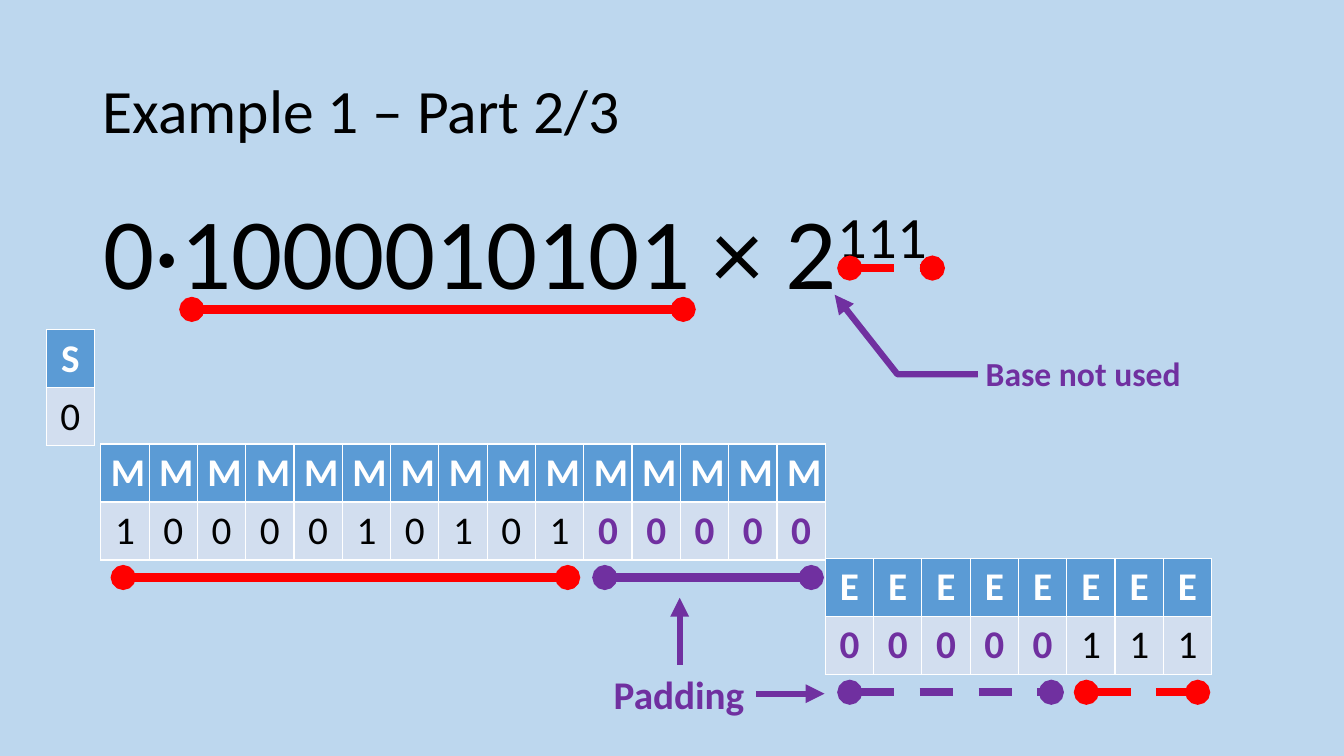
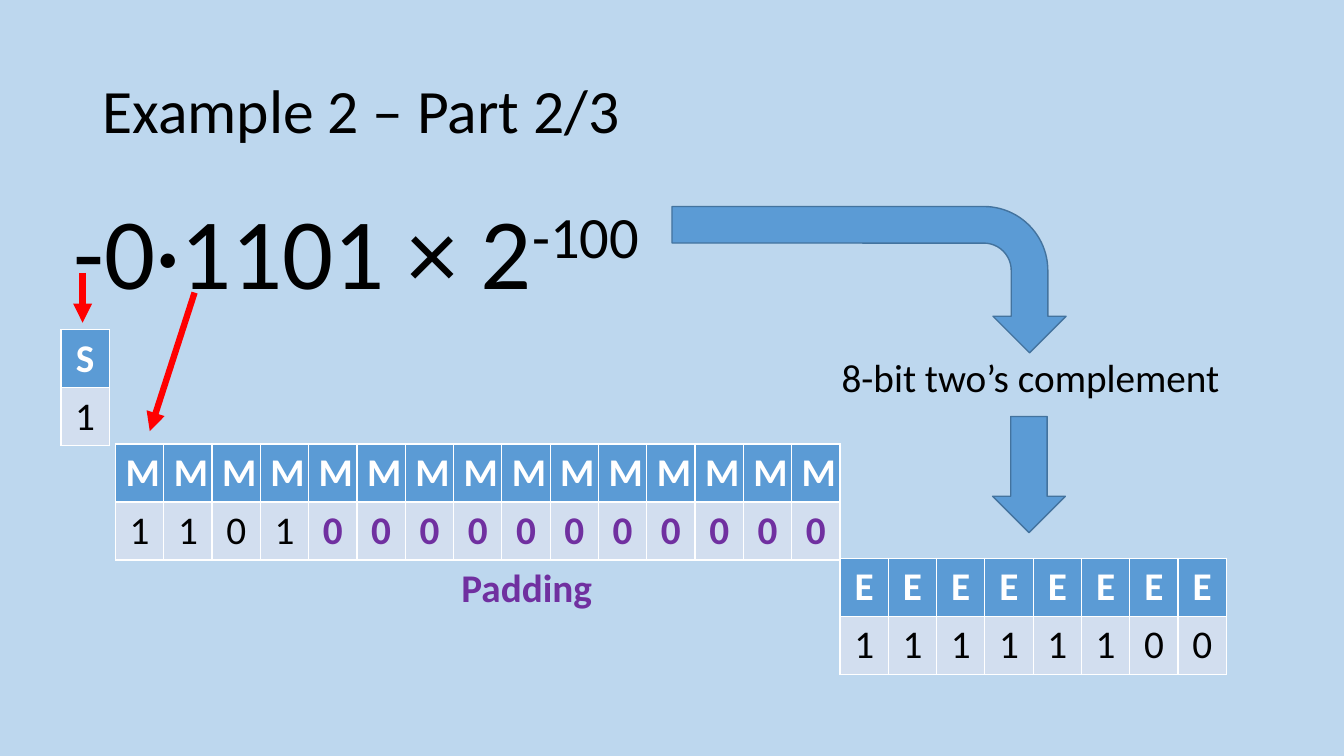
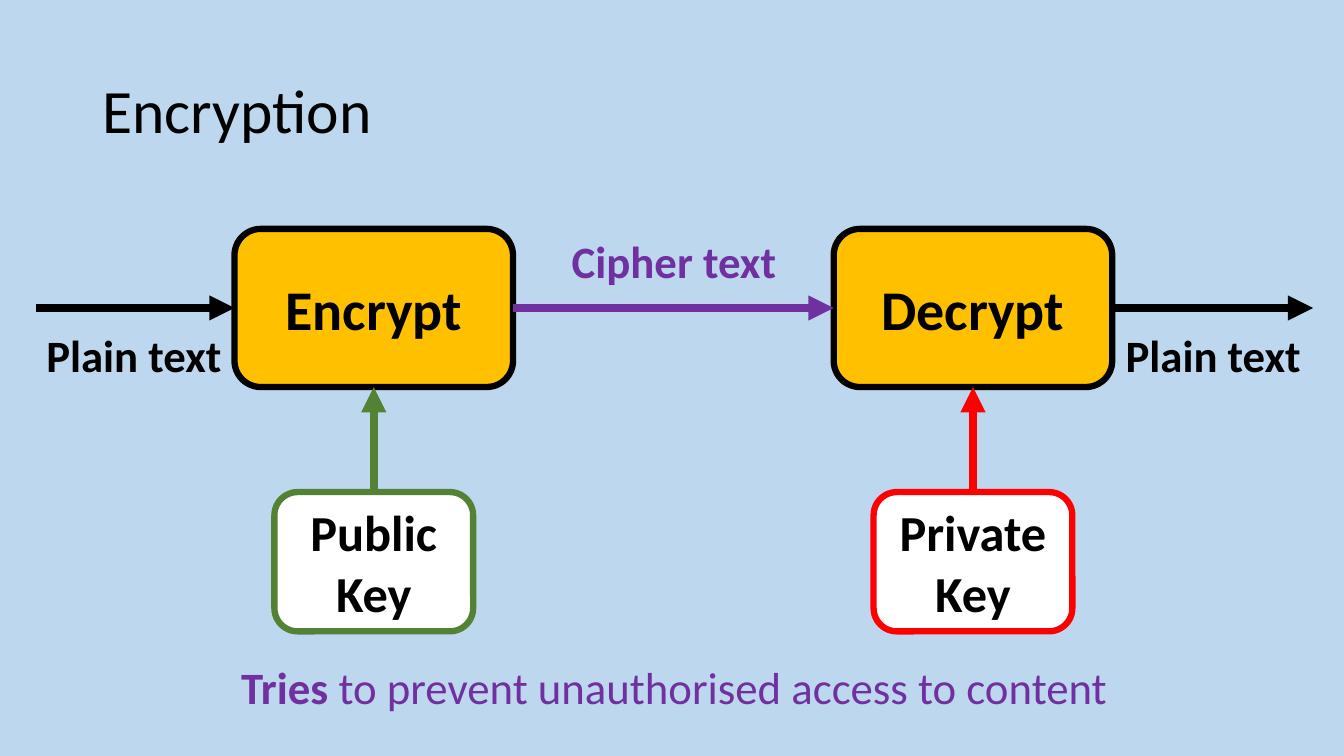
from lxml import etree
from pptx import Presentation
from pptx.dml.color import RGBColor
from pptx.enum.dml import MSO_LINE
from pptx.enum.shapes import MSO_CONNECTOR, MSO_SHAPE
from pptx.enum.text import MSO_ANCHOR, MSO_AUTO_SIZE, PP_ALIGN
from pptx.oxml.ns import qn
from pptx.util import Pt

LEFT, CENTER = PP_ALIGN.LEFT, PP_ALIGN.CENTER
MIDDLE = MSO_ANCHOR.MIDDLE
DASH = MSO_LINE.DASH
STRAIGHT = MSO_CONNECTOR.STRAIGHT
ROUNDED = MSO_SHAPE.ROUNDED_RECTANGLE
CALLOUT = MSO_SHAPE.LINE_CALLOUT_2_NO_BORDER
DOWN_ARROW, BENT_ARROW = MSO_SHAPE.DOWN_ARROW, MSO_SHAPE.BENT_ARROW
TITLE_ONLY = 5
TOP, LEFT_SIDE, BOTTOM, RIGHT_SIDE = range(4)

FONT = "Calibri"
COLORS = {
    "background": "BDD7EE",
    "black": "000000",
    "white": "FFFFFF",
    "purple": "7030A0",
    "red": "FF0000",
    "green": "548235",
    "amber": "FFC000",
    "blue": "5B9BD5",
    "blue_edge": "43739E",
    "bit_cell": "D2DEEF",
}

BIT_W, BIT_H = 34.5, 41
FIELD_STEP_Y = 81.6
SIGN_GAP = 4.5
STAGE_W, STAGE_H = 199, 113
KEY_W, KEY_H, KEY_DROP = 142, 99.5, 188


def rgb(name):
    return RGBColor.from_string(COLORS[name])


def points(*values):
    return [Pt(v) for v in values]


def style_run(r, size, color, bold=False):
    r.font.name = FONT
    r.font.size = Pt(size)
    r.font.bold = bold
    r.font.color.rgb = rgb(color)


def write(tf, text, size, color, bold=False, align=LEFT):
    tf.text = text
    for p in tf.paragraphs:
        p.alignment = align
        for r in p.runs:
            style_run(r, size, color, bold)


def add_slide(prs, title):
    slide = prs.slides.add_slide(prs.slide_layouts[TITLE_ONLY])
    sp = slide.shapes.title
    sp.left, sp.top, sp.width, sp.height = points(66, 28.75, 828, 104.5)
    tf = sp.text_frame
    write(tf, title, 44, "black")
    tf.auto_size = MSO_AUTO_SIZE.NONE
    tf.vertical_anchor = MIDDLE
    tf.paragraphs[0].line_spacing = 0.9
    return slide


def add_text(slide, box, text, size, color, bold=False, align=LEFT, wrap=False):
    tf = slide.shapes.add_textbox(*points(*box)).text_frame
    write(tf, text, size, color, bold, align)
    tf.word_wrap = wrap
    return tf.paragraphs[0]


def add_shape(slide, kind, box, fill, edge, weight):
    sp = slide.shapes.add_shape(kind, *points(*box))
    sp.shadow.inherit = False
    if fill:
        sp.fill.solid()
        sp.fill.fore_color.rgb = rgb(fill)
    else:
        sp.fill.background()
    sp.line.color.rgb = rgb(edge)
    sp.line.width = Pt(weight)
    return sp


def add_line_end(sp, end, kind):
    ln = sp._element.spPr.find(qn("a:ln"))
    etree.SubElement(ln, qn(f"a:{end}")).set("type", kind)


def add_line(slide, start, end, color, weight):
    line = slide.shapes.add_connector(STRAIGHT, *points(*start, *end))
    line.line.color.rgb = rgb(color)
    line.line.width = Pt(weight)
    etree.SubElement(line._element.spPr, qn("a:effectLst"))
    return line


def add_arrow(slide, start, end, color, weight=4.5):
    line = add_line(slide, start, end, color, weight)
    add_line_end(line, "tailEnd", "triangle")
    return line


def add_bar(slide, left, right, y, color, dashed=False):
    """Horizontal marker with a dot at both ends."""
    line = add_line(slide, (left, y), (right, y), color, 6)
    if dashed:
        line.line.dash_style = DASH
    for end in ("headEnd", "tailEnd"):
        add_line_end(line, end, "oval")


def add_field(slide, left, top, letter, bits, padding):
    """Table of bits under a repeated letter; padding holds the padded places."""
    n = len(bits)
    frame = slide.shapes.add_table(2, n, *points(left, top, n * BIT_W, 2 * BIT_H))
    table = frame.table
    for row in table.rows:
        row.height = Pt(BIT_H)
    for i, bit in enumerate(bits):
        table.columns[i].width = Pt(BIT_W)
        padded = i in padding
        for cell, text, fill, color, bold in (
            (table.cell(0, i), letter, "blue", "white", True),
            (table.cell(1, i), bit, "bit_cell", "purple" if padded else "black", padded),
        ):
            cell.fill.solid()
            cell.fill.fore_color.rgb = rgb(fill)
            write(cell.text_frame, text, 28, color, bold, CENTER)


def add_float(slide, left, top, sign, mantissa, exponent, m_pad=(), e_pad=()):
    """Sign, mantissa and exponent tables, stepping down to the right."""
    m_left = left + BIT_W + SIGN_GAP
    e_left = m_left + len(mantissa) * BIT_W
    add_field(slide, left, top, "S", sign, ())
    add_field(slide, m_left, top + FIELD_STEP_Y, "M", mantissa, m_pad)
    add_field(slide, e_left, top + 2 * FIELD_STEP_Y, "E", exponent, e_pad)


def add_number(slide, left, top, number, power):
    p = add_text(slide, (left, top, 798, 94.5), number, 72, "black", wrap=True)
    r = p.add_run()
    r.text = power
    style_run(r, 72, "black")
    r._r.get_or_add_rPr().set("baseline", "30000")


def add_callout(slide, box, text):
    sp = add_shape(slide, CALLOUT, box, None, "purple", 4.5)
    for i, value in enumerate((0.53, 0.01, 0.53, -0.35, -1.07, -0.63)):
        sp.adjustments[i] = value
    add_line_end(sp, "tailEnd", "triangle")
    sp.text_frame.vertical_anchor = MIDDLE
    write(sp.text_frame, text, 24, "purple", True)


def positive_example(prs):
    slide = add_slide(prs, "Example 1 – Part 2/3")
    add_float(slide, 33, 235.5, "0", "100001010100000", "00000111",
              range(10, 15), range(5))
    add_number(slide, 67, 131, "0·1000010101 × 2", "111")
    add_text(slide, (430.5, 475, 109, 41), "Padding", 28, "purple", True, CENTER)
    for left, right, y, color, dashed in (
        (432, 579.5, 412.5, "purple", False),
        (607, 751, 494.5, "purple", True),
        (137, 488, 221, "red", False),
        (607, 666, 191.5, "red", True),
        (88, 405.5, 412.5, "red", False),
        (776, 855.5, 494.5, "red", True),
    ):
        add_bar(slide, left, right, y, color, dashed)
    add_callout(slide, (697, 248.5, 160, 35.5), "Base not used")
    add_arrow(slide, (485.5, 475), (485.5, 427), "purple")
    add_arrow(slide, (540, 495.5), (589, 495.5), "purple")


def negative_example(prs):
    slide = add_slide(prs, "Example 2 – Part 2/3")
    add_float(slide, 43.5, 235.5, "1", "110100000000000", "11111100", range(4, 15))
    add_number(slide, 45.5, 131, "-0·1101 × 2", "-100")
    add_text(slide, (322.5, 399, 109, 41), "Padding", 28, "purple", True)
    add_text(slide, (592.5, 248.5, 287, 41), "8-bit two’s complement", 28, "black",
             align=CENTER)
    add_shape(slide, DOWN_ARROW, (709, 297.5, 52, 83), "blue", "blue_edge", 1)
    add_arrow(slide, (59, 195), (59, 230.5), "red")
    add_arrow(slide, (139, 209), (107, 308), "red")
    sp = add_shape(slide, BENT_ARROW, (568.5, 59, 104.5, 281.5), "blue", "blue_edge", 1)
    sp.rotation = 90


def add_labelled_box(slide, box, text, size, fill, edge):
    sp = add_shape(slide, ROUNDED, box, fill, edge, 4.5)
    sp.text_frame.vertical_anchor = MIDDLE
    write(sp.text_frame, text, size, "black", True, CENTER)
    return sp


def add_stage(slide, left, top, name, key, color):
    """Process box with the key that feeds it from below."""
    box = add_labelled_box(slide, (left, top, STAGE_W, STAGE_H), name, 40,
                           "amber", "black")
    key_left, key_top = left + (STAGE_W - KEY_W) / 2, top + KEY_DROP
    key_box = add_labelled_box(slide, (key_left, key_top, KEY_W, KEY_H), key, 36,
                               "white", color)
    middle = left + STAGE_W / 2
    arrow = add_arrow(slide, (middle, key_top), (middle, top + STAGE_H), color, 6)
    arrow.begin_connect(key_box, TOP)
    arrow.end_connect(box, BOTTOM)
    return box


def encryption(prs):
    slide = add_slide(prs, "Encryption")
    top, encrypt_left, decrypt_left = 163.5, 167.5, 595.5
    middle = top + STAGE_H / 2
    encrypt_right, decrypt_right = encrypt_left + STAGE_W, decrypt_left + STAGE_W
    encrypt = add_stage(slide, encrypt_left, top, "Encrypt", "Public\nKey", "green")
    decrypt = add_stage(slide, decrypt_left, top, "Decrypt", "Private\nKey", "red")

    plain_in = add_arrow(slide, (26, middle), (encrypt_left, middle), "black", 6)
    plain_in.end_connect(encrypt, LEFT_SIDE)
    plain_out = add_arrow(slide, (decrypt_right, middle), (938, middle), "black", 6)
    plain_out.begin_connect(decrypt, RIGHT_SIDE)
    cipher = add_arrow(slide, (encrypt_right, middle), (decrypt_left, middle), "purple", 6)
    cipher.begin_connect(encrypt, RIGHT_SIDE)
    cipher.end_connect(decrypt, LEFT_SIDE)

    for left in (26, 797):
        add_text(slide, (left, 230.5, 141, 46), "Plain text", 32, "black", True)
    add_text(slide, (376.5, top, 210, 46), "Cipher text", 32, "purple", True, CENTER, True)
    p = add_text(slide, (162, 467.5, 639.5, 46), "Tries", 32, "purple", True, CENTER)
    r = p.add_run()
    r.text = " to prevent unauthorised access to content"
    style_run(r, 32, "purple")


def main():
    prs = Presentation()
    prs.slide_width, prs.slide_height = points(960, 540)
    fill = prs.slide_master.background.fill
    fill.solid()
    fill.fore_color.rgb = rgb("background")
    positive_example(prs)
    negative_example(prs)
    encryption(prs)
    prs.save("out.pptx")


if __name__ == "__main__":
    main()
